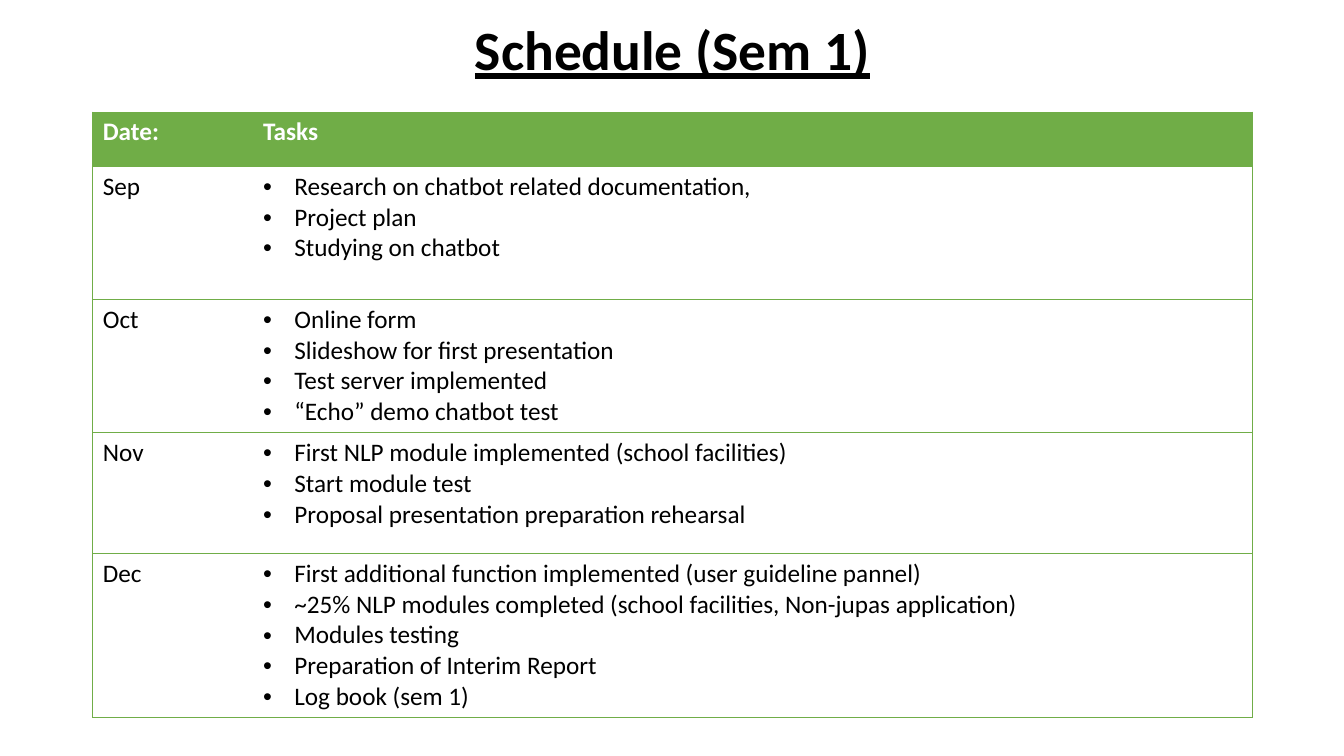
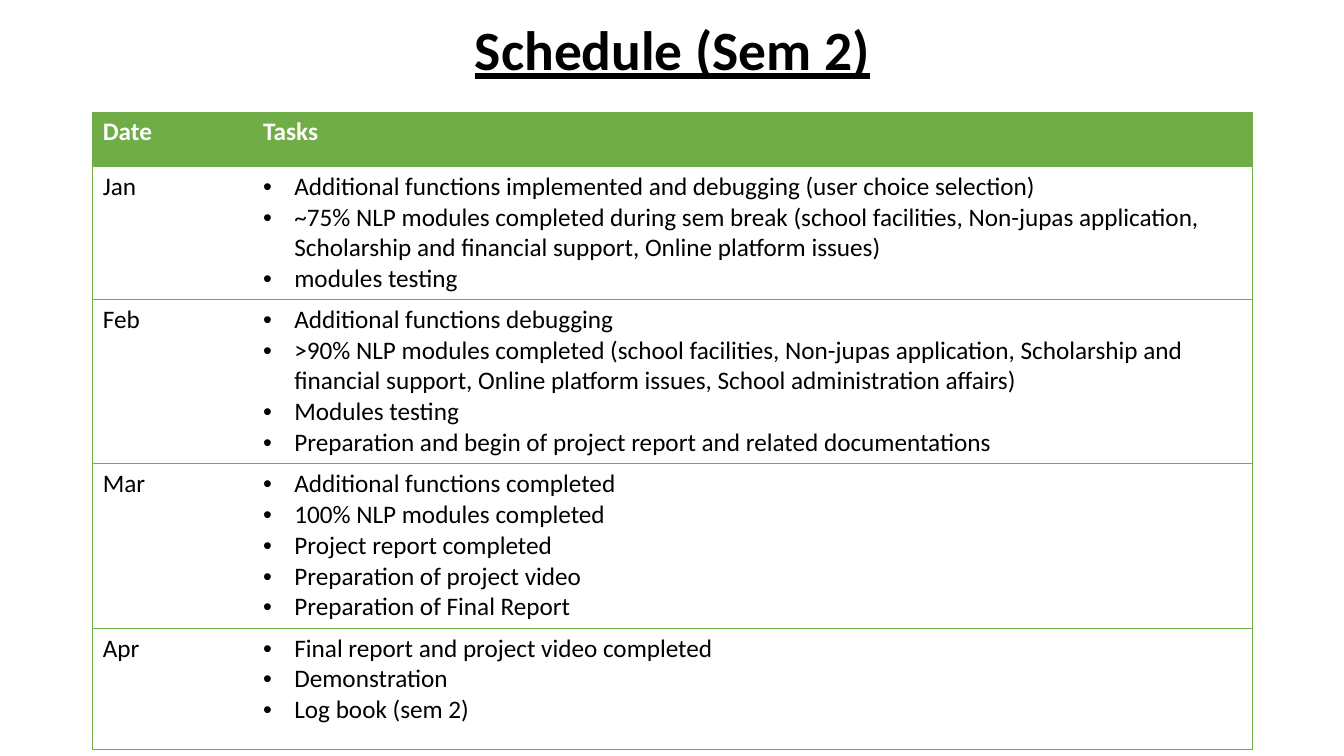
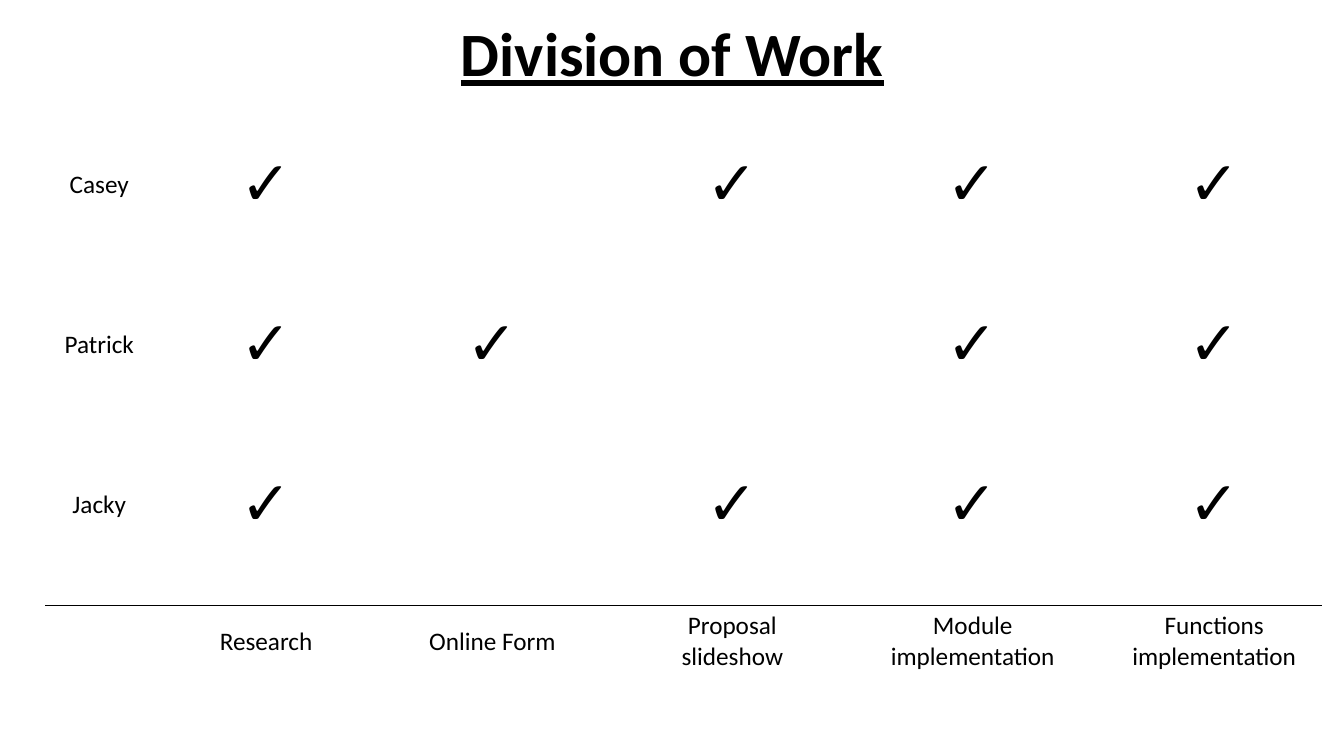
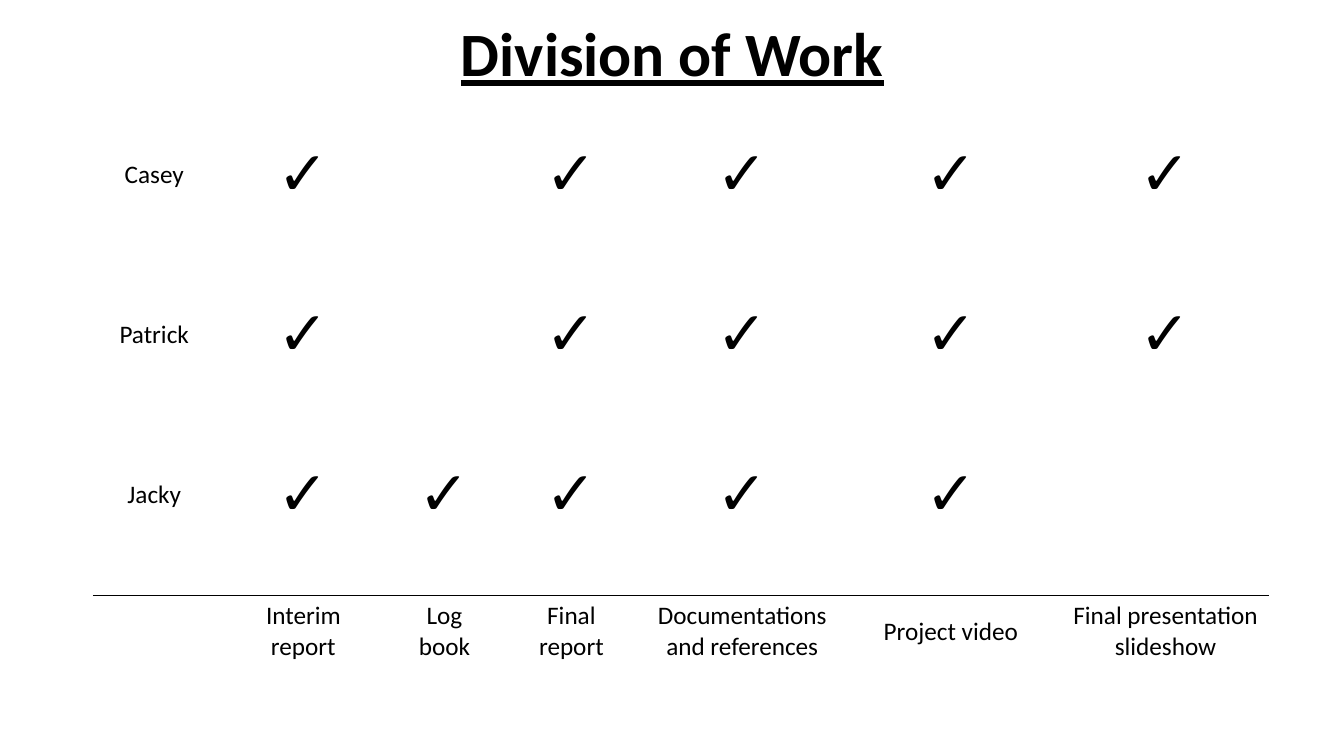
from dataclasses import dataclass

from lxml import etree
from pptx import Presentation
from pptx import util as u
from pptx.dml.color import RGBColor
from pptx.enum import text
from pptx.oxml import ns


@dataclass(frozen=True)
class Theme:
    font: str = "Calibri"
    ink: str = "000000"
    paper: str = "FFFFFF"
    green: str = "70AD47"
    body: float = 18
    mark: float = 44
    schedule_title: float = 39.6
    division_title: float = 44
    table_style: str = "{2D5ABB26-0587-4C30-8999-92F81FD0307C}"


theme = Theme()


def write(p, words, color=theme.ink, size=theme.body, **extra):
    p.text = words
    for r in p.runs:
        for key, value in dict(name=theme.font, size=u.Pt(size), **extra).items():
            setattr(r.font, key, value)
        r.font.color.rgb = RGBColor.from_string(color)


def edge(cell, sides, color, width):
    tcPr = cell._tc.get_or_add_tcPr()
    for side in sides:
        ln = etree.SubElement(tcPr, ns.qn(f"a:ln{side}"), w=str(u.Pt(width)))
        fill = etree.SubElement(ln, ns.qn("a:solidFill"))
        etree.SubElement(fill, ns.qn("a:srgbClr"), val=color)


schedules = [
    dict(
        title="Schedule (Sem 1)",
        heights=[0.54, 1.32, 1.32, 1.2, 1.63],
        rows=[
            ("Date:", ["Tasks"]),
            ("Sep", [
                "Research on chatbot related documentation,",
                "Project plan",
                "Studying on chatbot",
            ]),
            ("Oct", [
                "Online form",
                "Slideshow for first presentation",
                "Test server implemented",
                "“Echo” demo chatbot test",
            ]),
            ("Nov", [
                "First NLP module implemented (school facilities)",
                "Start module test",
                "Proposal presentation preparation rehearsal",
            ]),
            ("Dec", [
                "First additional function implemented (user guideline pannel)",
                "~25% NLP modules completed (school facilities, Non-jupas application)",
                "Modules testing",
                "Preparation of Interim Report",
                "Log book (sem 1)",
            ]),
        ],
    ),
    dict(
        title="Schedule (Sem 2)",
        heights=[0.54, 1.32, 1.63, 1.63, 1.2],
        rows=[
            ("Date", ["Tasks"]),
            ("Jan", [
                "Additional functions implemented and debugging (user choice selection)",
                "~75% NLP modules completed during sem break (school facilities, "
                "Non-jupas application, Scholarship and financial support, "
                "Online platform issues)",
                "modules testing",
            ]),
            ("Feb", [
                "Additional functions debugging",
                ">90% NLP modules completed (school facilities, Non-jupas application, "
                "Scholarship and financial support, Online platform issues, "
                "School administration affairs)",
                "Modules testing",
                "Preparation and begin of project report and related documentations",
            ]),
            ("Mar", [
                "Additional functions completed",
                "100% NLP modules completed",
                "Project report completed",
                "Preparation of project video",
                "Preparation of Final Report",
            ]),
            ("Apr", [
                "Final report and project video completed",
                "Demonstration",
                "Log book (sem 2)",
            ]),
        ],
    ),
]

divisions = [
    dict(
        title="Division of Work",
        left=0.45,
        top=1.24,
        widths=[1.07, 0.24, 1.76, 0.31, 2.11, 0.27, 2.11, 0.23, 2.18, 0.24, 2.13],
        tasks=["Research", "Online Form", "Proposal\vslideshow",
               "Module implementation", "Functions implementation"],
        done={"Casey": [0, 2, 3, 4], "Patrick": [0, 1, 3, 4], "Jacky": [0, 2, 3, 4]},
    ),
    dict(
        title="Division of Work",
        left=0.92,
        top=1.14,
        widths=[1.22, 0.23, 1.26, 0.23, 1.06, 0.23, 0.98, 0.23, 1.93, 0.23, 1.73, 0.23, 2.05],
        tasks=["Interim report", "Log book", "Final report",
               "Documentations and references", "Project video",
               "Final presentation slideshow"],
        done={"Casey": [0, 2, 3, 4, 5], "Patrick": [0, 2, 3, 4, 5], "Jacky": [0, 1, 2, 3, 4]},
    ),
]

for page in schedules:
    page.update(left=0.92, top=1.11, widths=[1.59, 9.91],
                title_top=0.2, title_height=0.64, title_size=theme.schedule_title)
for page in divisions:
    page.update(heights=[1.18, 0.41] * 3 + [0.71],
                title_top=0.14, title_height=0.84, title_size=theme.division_title)

prs = Presentation()
prs.slide_width, prs.slide_height = u.Inches(13.33), u.Inches(7.5)

for page in schedules + divisions:
    s = prs.slides.add_slide(prs.slide_layouts[5])
    sp = s.shapes.title
    frame = dict(left=0.92, top=page["title_top"], width=11.5, height=page["title_height"])
    for key, value in frame.items():
        setattr(sp, key, u.Inches(value))
    tf = sp.text_frame
    tf.auto_size = text.MSO_AUTO_SIZE.NONE
    tf.vertical_anchor = text.MSO_ANCHOR.MIDDLE
    p = tf.paragraphs[0]
    p.alignment, p.line_spacing = text.PP_ALIGN.CENTER, 0.9
    write(p, page["title"], size=page["title_size"], bold=True, underline=True)

    widths, heights = page["widths"], page["heights"]
    table = s.shapes.add_table(
        len(heights), len(widths), u.Inches(page["left"]), u.Inches(page["top"]),
        u.Inches(sum(widths)), u.Inches(sum(heights))).table
    table.first_row = table.horz_banding = False
    table._tbl.tblPr.find(ns.qn("a:tableStyleId")).text = theme.table_style
    for column, width in zip(table.columns, widths):
        column.width = u.Inches(width)
    for row, height in zip(table.rows, heights):
        row.height = u.Inches(height)
    page["table"] = table

for page in schedules:
    for i, (date, tasks) in enumerate(page["rows"]):
        header = i == 0
        for j, lines in enumerate([[date], tasks]):
            cell = page["table"].cell(i, j)
            edge(cell, ["R" if j else "L", "T", "B"], theme.green, 0.5)
            if header:
                cell.fill.solid()
                cell.fill.fore_color.rgb = RGBColor.from_string(theme.green)
            else:
                cell.fill.background()
            tf = cell.text_frame
            for k, line in enumerate(lines):
                p = tf.add_paragraph() if k else tf.paragraphs[0]
                write(p, line, theme.paper if header else theme.ink, bold=header)
                if j and not header:
                    pPr = p._p.get_or_add_pPr()
                    pPr.set("marL", str(u.Inches(0.31)))
                    pPr.set("indent", str(-u.Inches(0.31)))
                    etree.SubElement(pPr, ns.qn("a:buFont"), typeface="Arial")
                    etree.SubElement(pPr, ns.qn("a:buChar"), char="•")

for page in divisions:
    table = page["table"]
    last = len(page["heights"]) - 1
    entries = {(last, 2 * j + 2): (task, theme.body) for j, task in enumerate(page["tasks"])}
    for i, (person, done) in enumerate(page["done"].items()):
        entries[2 * i, 0] = (person, theme.body)
        for j in done:
            entries[2 * i, 2 * j + 2] = ("✓", theme.mark)

    for i in range(last + 1):
        for j in range(len(page["widths"])):
            cell = table.cell(i, j)
            if i >= last - 1:
                edge(cell, "T" if i == last else "B", theme.ink, 1)
            cell.fill.background()
            if (i, j) in entries:
                words, size = entries[i, j]
                cell.vertical_anchor = text.MSO_ANCHOR.MIDDLE
                p = cell.text_frame.paragraphs[0]
                p.alignment = text.PP_ALIGN.CENTER
                write(p, words, size=size)

prs.save("out.pptx")
